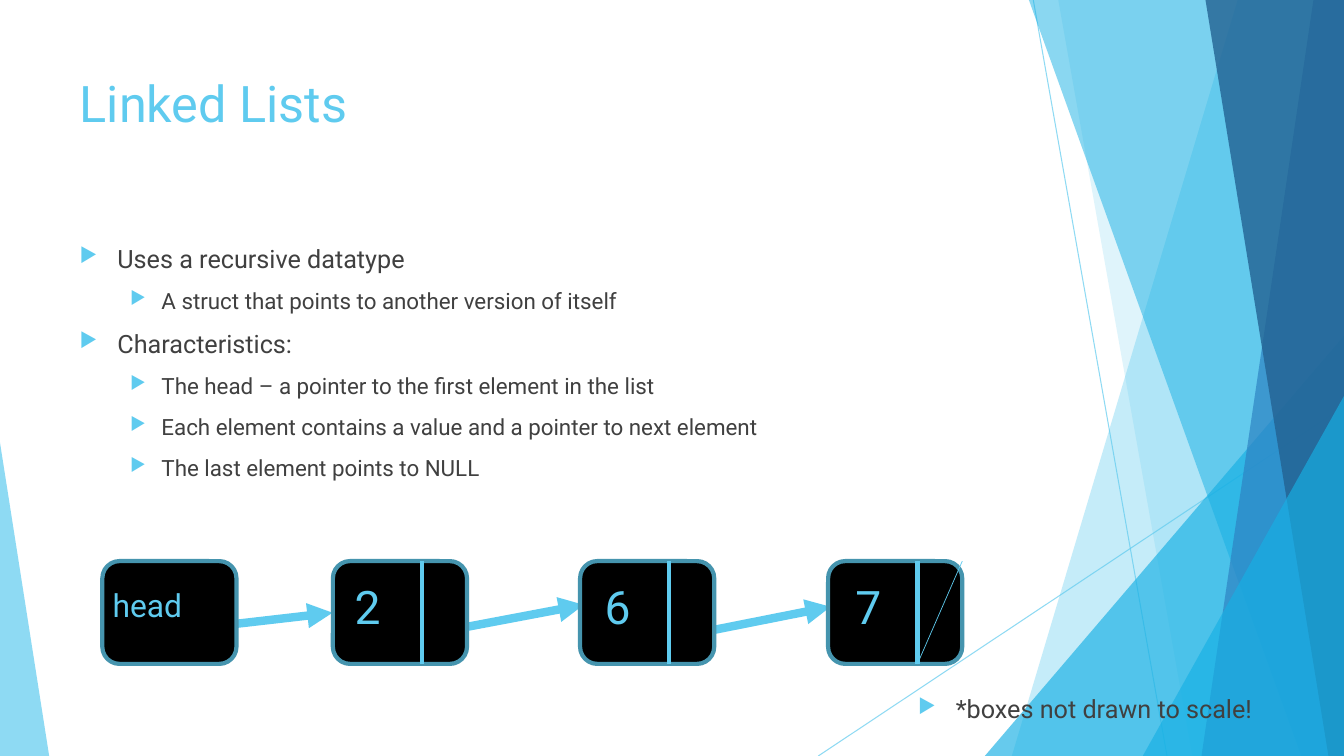
from dataclasses import dataclass
from lxml.etree import SubElement as Sub
from pptx import Presentation
from pptx.dml.color import RGBColor as Rgb
from pptx.enum.shapes import MSO_CONNECTOR as Link, MSO_SHAPE as Kind
from pptx.oxml.ns import qn
from pptx.util import Cm, Pt


@dataclass(frozen=True)
class Theme:
    font: str = "Roboto"
    sky: str = "5FCBEF"
    aqua: str = "17B0E4"
    blue: str = "2E83C3"
    navy: str = "236292"
    rim: str = "4594AE"
    box: str = "000000"
    text: str = "404040"
    title: float = 36
    body: float = 18
    sub: float = 16
    head: float = 22.7
    value: float = 33


T = Theme()
WIDE, HIGH = 33.87, 19.05
ROW, BOX_W, BOX_H, SPLIT = 14.14, 3.38, 2.59, 2.25

SHARDS = [
    (T.sky, 36, [(31.19, 0), (WIDE, 0), (WIDE, HIGH), (25.5, HIGH)]),
    (T.sky, 20, [(26.67, 0), (WIDE, 0), (WIDE, HIGH), (30.05, HIGH)]),
    (T.aqua, 66, [(24.82, HIGH), (WIDE, 8.46), (WIDE, HIGH)]),
    (T.aqua, 50, [(25.93, 0), (WIDE, 0), (WIDE, HIGH), (32.79, HIGH)]),
    (T.blue, 70, [(33.1, 0), (WIDE, 0), (WIDE, HIGH), (30.28, HIGH)]),
    (T.navy, 80, [(30.38, 0), (WIDE, 0), (WIDE, HIGH), (33.48, HIGH)]),
    (T.aqua, 66, [(28.8, HIGH), (WIDE, 9.98), (WIDE, HIGH)]),
    (T.sky, 70, [(0, HIGH), (0, 11.15), (1.24, HIGH)]),
]
RAYS = [(26.04, 0, 29.41, HIGH), (WIDE, 10.24, 20.62, HIGH)]
POINTS = [
    (0, "Uses a recursive datatype"),
    (1, "A struct that points to another version of itself"),
    (0, "Characteristics:"),
    (1, "The head – a pointer to the first element in the list"),
    (1, "Each element contains a value and a pointer to next element"),
    (1, "The last element points to NULL"),
]
ARROWS = [
    (5.51, 15.77, 8.38, 15.44),
    (11.48, 15.85, 14.71, 15.24),
    (17.7, 15.93, 20.93, 15.29),
]
NODES = [(8.39, 0.55, "2"), (14.62, 0.62, "6"), (20.87, 0.69, "7")]


def fade(shape, alpha):
    for color in shape.element.iter(qn("a:srgbClr")):
        Sub(color, qn("a:alpha"), val=str(alpha * 1000))


def add_line(slide, ends, width, alpha=100, arrow=False):
    line = slide.shapes.add_connector(Link.STRAIGHT, *map(Cm, ends))
    line.line.color.rgb = Rgb.from_string(T.sky)
    line.line.width = Pt(width)
    props = line.element.spPr
    if alpha < 100:
        fade(line, alpha)
    if arrow:
        Sub(props.find(qn("a:ln")), qn("a:tailEnd"), type="triangle")
    Sub(props, qn("a:effectLst"))


def add_shard(slide, color, alpha, dots):
    first, *rest = [(Cm(x), Cm(y)) for x, y in dots]
    form = slide.shapes.build_freeform(*first)
    form.add_line_segments(rest, close=True)
    shard = form.convert_to_shape()
    shard.fill.solid()
    shard.fill.fore_color.rgb = Rgb.from_string(color)
    fade(shard, alpha)
    shard.line.fill.background()
    shard.shadow.inherit = False


def add_frame(slide, area, inset=0):
    frame = slide.shapes.add_textbox(*map(Cm, area)).text_frame
    frame.word_wrap = True
    frame.margin_left = frame.margin_right = Cm(inset)
    frame.margin_top = frame.margin_bottom = Cm(inset)
    return frame


def set_font(para, size, color):
    para.font.name = T.font
    para.font.size = Pt(size)
    para.font.color.rgb = Rgb.from_string(color)


def add_label(slide, area, text, size, inset=0, pitch=1.0):
    para = add_frame(slide, area, inset).paragraphs[0]
    para.text = text
    para.line_spacing = pitch
    set_font(para, size, T.sky)


def add_bullet(para, level):
    left, hang = [(0.95, 0.95), (2.06, 0.79)][level]
    props = para._p.get_or_add_pPr()
    props.set("marL", str(Cm(left)))
    props.set("indent", str(-Cm(hang)))
    Sub(Sub(props, qn("a:buClr")), qn("a:srgbClr"), val=T.sky)
    Sub(props, qn("a:buSzPct"), val="80000")
    Sub(props, qn("a:buChar"), char="▶")


def add_list(slide, area, items, inset=0):
    frame = add_frame(slide, area, inset)
    for i, (level, text) in enumerate(items):
        para = frame.add_paragraph() if i else frame.paragraphs[0]
        para.text = text
        para.level = level
        para.space_before = Pt(10)
        add_bullet(para, level)
        set_font(para, T.sub if level else T.body, T.text)


def add_box(slide, left):
    area = map(Cm, (left, ROW, BOX_W, BOX_H))
    box = slide.shapes.add_shape(Kind.ROUNDED_RECTANGLE, *area)
    box.fill.solid()
    box.fill.fore_color.rgb = Rgb.from_string(T.box)
    box.line.color.rgb = Rgb.from_string(T.rim)
    box.line.width = Pt(3)
    box.shadow.inherit = False


def add_node(slide, left, shift, value):
    add_box(slide, left)
    split = left + SPLIT
    add_line(slide, (split, ROW + BOX_H, split, ROW), 3)
    add_label(slide, (left + shift, 14.74, 1.75, 1.63), value, T.value, pitch=0.9)


def main():
    deck = Presentation()
    deck.slide_width, deck.slide_height = Cm(WIDE), Cm(HIGH)
    slide = deck.slides.add_slide(deck.slide_layouts[6])
    for ray in RAYS:
        add_line(slide, ray, 0.75, alpha=70)
    for shard in SHARDS:
        add_shard(slide, *shard)
    add_label(slide, (1.88, 1.7, 23.88, 3.66), "Linked Lists", T.title, inset=0.13)
    add_list(slide, (1.88, 5.99, 25.02, 10.77), POINTS, inset=0.13)
    for arrow in ARROWS:
        add_line(slide, arrow, 6, arrow=True)
    add_box(slide, 2.58)
    add_label(slide, (2.84, 14.94, 3.38, 1.22), "head", T.head, pitch=0.8)
    for node in NODES:
        add_node(slide, *node)
    last = NODES[-1][0]
    add_line(slide, (last + SPLIT, ROW + BOX_H, last + BOX_W, ROW), 0.5)
    add_list(slide, (23.14, 17.48, 10.62, 1.57), [(0, "*boxes not drawn to scale!")])
    deck.save("out.pptx")


if __name__ == "__main__":
    main()
